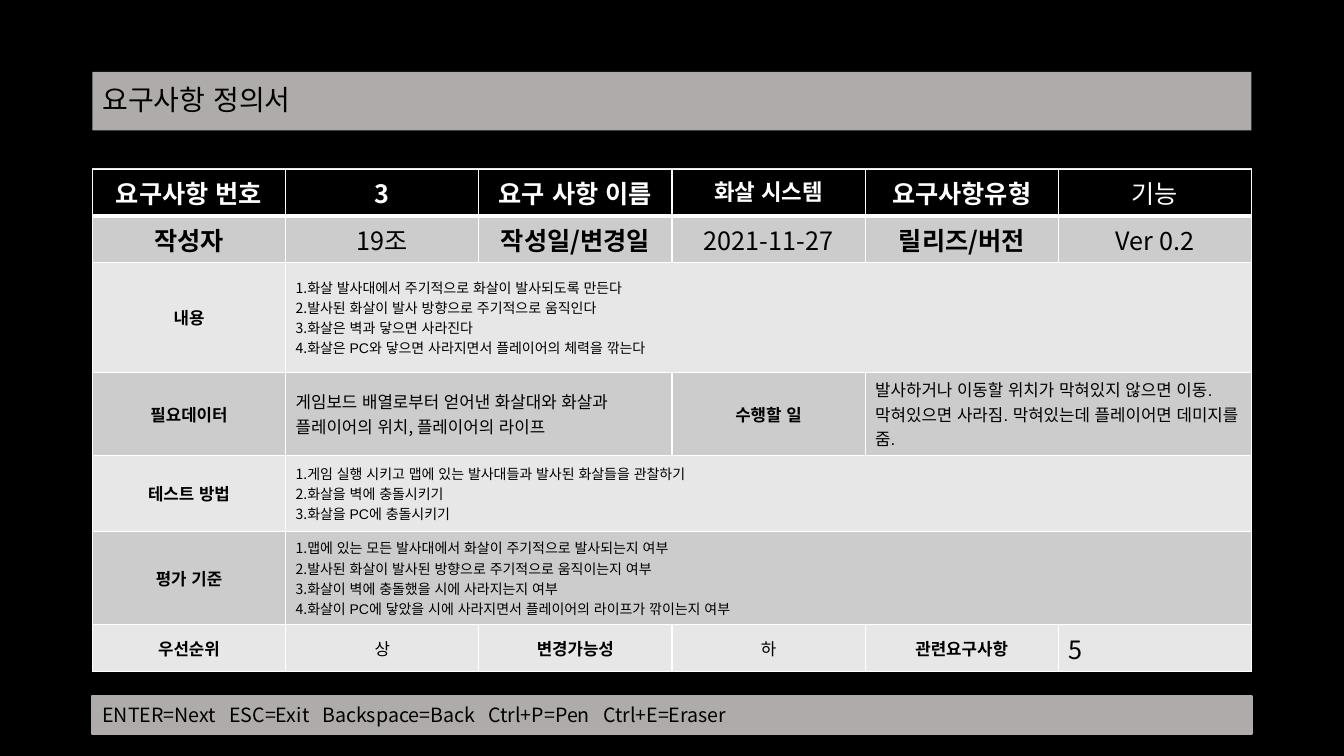
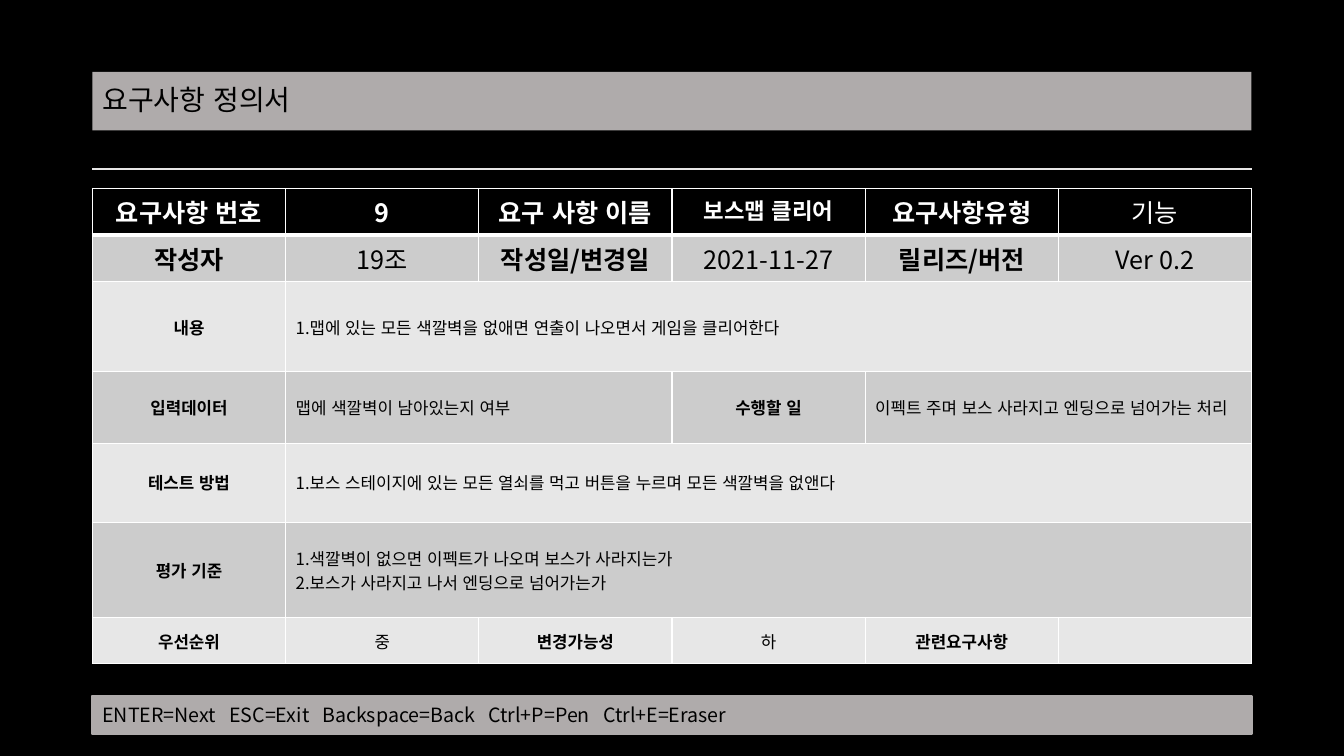
from dataclasses import dataclass

from lxml.etree import SubElement
from pptx import Presentation
from pptx.dml.color import RGBColor
from pptx.enum.lang import MSO_LANGUAGE_ID
from pptx.enum.shapes import MSO_CONNECTOR, MSO_SHAPE
from pptx.enum.text import MSO_ANCHOR, PP_ALIGN
from pptx.oxml import parse_xml
from pptx.oxml.ns import nsdecls, qn
from pptx.util import Cm, Pt

TITLE = "요구사항 정의서"
SHORTCUTS = ["ENTER=Next", "ESC=Exit", "Backspace=Back", "Ctrl+P=Pen", "Ctrl+E=Eraser"]
SHORTCUT_TABS = [3.2, 5.54, 9.73, 12.62]


def heading_rows(number, name):
    return [
        [("head", number_label, 1) for number_label in ("요구사항 번호", number, "요구 사항 이름")]
        + [("head_name", name, 1), ("head", "요구사항유형", 1), ("head_plain", "기능", 1)],
        [("label_large", "작성자", 1), ("value_large", "19조", 1),
         ("label_large", "작성일/변경일", 1), ("value_large", "2021-11-27", 1),
         ("label_large", "릴리즈/버전", 1), ("value_large", "Ver 0.2", 1)],
    ]


def priority_row(priority, related):
    return [("label", "우선순위", 1), ("value", priority, 1),
            ("label", "변경가능성", 1), ("value", "하", 1),
            ("label", "관련요구사항", 1), ("related", related, 1)]


# Each cell is (text style, text or list of steps, columns spanned).
SHEETS = [
    {
        "top": 4.27,
        "heights": [1.15, 1.15, 2.76, 2, 1.92, 2.35, 1.15],
        "rows": heading_rows("3", "화살 시스템") + [
            [("label", "내용", 1), ("steps_small", [
                "화살 발사대에서 주기적으로 화살이 발사되도록 만든다",
                "발사된 화살이 발사 방향으로 주기적으로 움직인다",
                "화살은 벽과 닿으면 사라진다",
                "화살은 PC와 닿으면 사라지면서 플레이어의 체력을 깎는다"], 5)],
            [("label", "필요데이터", 1),
             ("data", "게임보드 배열로부터 얻어낸 화살대와 화살과 플레이어의 위치, "
                      "플레이어의 라이프", 2),
             ("label", "수행할 일", 1),
             ("note", "발사하거나 이동할 위치가 막혀있지 않으면 이동. 막혀있으면 사라짐. "
                      "막혀있는데 플레이어면 데미지를 줌.", 2)],
            [("label", "테스트 방법", 1), ("steps_small", [
                "게임 실행 시키고 맵에 있는 발사대들과 발사된 화살들을 관찰하기",
                "화살을 벽에 충돌시키기",
                "화살을 PC에 충돌시키기"], 5)],
            [("label", "평가 기준", 1), ("steps_small", [
                "맵에 있는 모든 발사대에서 화살이 주기적으로 발사되는지 여부",
                "발사된 화살이 발사된 방향으로 주기적으로 움직이는지 여부",
                "화살이 벽에 충돌했을 시에 사라지는지 여부",
                "화살이 PC에 닿았을 시에 사라지면서 플레이어의 라이프가 깎이는지 여부"], 5)],
            priority_row("상", "5"),
        ],
    },
    {
        "top": 4.75,
        "heights": [1.16, 1.16, 2.27, 1.8, 1.99, 2.41, 1.16],
        "rows": heading_rows("9", "보스맵 클리어") + [
            [("label", "내용", 1), ("steps", [
                "맵에 있는 모든 색깔벽을 없애면 연출이 나오면서 게임을 클리어한다"], 5)],
            [("label", "입력데이터", 1), ("note", "맵에 색깔벽이 남아있는지 여부", 2),
             ("label", "수행할 일", 1),
             ("note", "이펙트 주며 보스 사라지고 엔딩으로 넘어가는 처리", 2)],
            [("label", "테스트 방법", 1), ("steps", [
                "보스 스테이지에 있는 모든 열쇠를 먹고 버튼을 누르며 모든 색깔벽을 없앤다"], 5)],
            [("label", "평가 기준", 1), ("steps", [
                "색깔벽이 없으면 이펙트가 나오며 보스가 사라지는가",
                "보스가 사라지고 나서 엔딩으로 넘어가는가"], 5)],
            priority_row("중", ""),
        ],
    },
]


@dataclass
class TextStyle:
    size: int
    bold: bool = False
    font: str = "Arial"
    color: str = "000000"
    centered: bool = False
    anchor: MSO_ANCHOR = MSO_ANCHOR.MIDDLE


class Theme:
    black, white = "000000", "FFFFFF"
    band, rule = "AFABAB", "E7E6E6"
    row_fills = ("E7E7E7", "CCCCCC")
    korean = "Noto Sans CJK KR"
    thin, thick = 1, 3
    line = 1.5
    styles = {
        "title": TextStyle(20, font=korean),
        "footer": TextStyle(14, font=korean),
        "head": TextStyle(18, True, korean, white, True, MSO_ANCHOR.TOP),
        "head_name": TextStyle(16, True, korean, white, True, MSO_ANCHOR.TOP),
        "head_plain": TextStyle(18, False, korean, white, True, MSO_ANCHOR.TOP),
        "label_large": TextStyle(18, True, korean, black, True, MSO_ANCHOR.TOP),
        "value_large": TextStyle(18, False, korean, black, True, MSO_ANCHOR.TOP),
        "label": TextStyle(12, True, centered=True),
        "value": TextStyle(12, centered=True),
        "steps_small": TextStyle(10),
        "steps": TextStyle(12),
        "data": TextStyle(12, font=korean),
        "note": TextStyle(12),
        "related": TextStyle(18, font=korean),
    }


LEFT, WIDTH, COLUMNS = 2.33, 29.21, 6


def color(value):
    return RGBColor.from_string(value)


def style_paragraph(para, style):
    para.alignment = PP_ALIGN.CENTER if style.centered else PP_ALIGN.LEFT
    for span in para.runs:
        span.font.size = Pt(style.size)
        span.font.bold = style.bold
        span.font.name = style.font
        span.font.color.rgb = color(style.color)
        span.font.language_id = MSO_LANGUAGE_ID.KOREAN
        SubElement(span.font._element, qn("a:ea"), typeface=Theme.korean)


def number_paragraph(para):
    properties = para._p.get_or_add_pPr()
    properties.set("marL", "0")
    properties.set("indent", "0")
    SubElement(properties, qn("a:buAutoNum"), type="arabicPeriod")


def add_band(slide, top, height, text, style, outlined=False):
    box = slide.shapes.add_shape(
        MSO_SHAPE.RECTANGLE, Cm(LEFT), Cm(top), Cm(WIDTH), Cm(height))
    box.shadow.inherit = False
    box.fill.solid()
    box.fill.fore_color.rgb = color(Theme.band)
    if outlined:
        box.line.color.rgb = color(Theme.band)
        box.line.width = Pt(Theme.line)
    else:
        box.line.fill.background()
    box.text_frame.text = text
    box.text_frame.word_wrap = True
    box.text_frame.vertical_anchor = style.anchor
    para = box.text_frame.paragraphs[0]
    style_paragraph(para, style)
    return para


def add_frame(slide):
    """Draw the background, rule, footer and title shared by all slides."""
    slide.background.fill.solid()
    slide.background.fill.fore_color.rgb = color(Theme.black)
    rule = slide.shapes.add_connector(
        MSO_CONNECTOR.STRAIGHT, Cm(LEFT), Cm(4.25), Cm(LEFT + WIDTH), Cm(4.25))
    rule.line.color.rgb = color(Theme.rule)
    rule.line.width = Pt(Theme.line)
    SubElement(rule._element.spPr, qn("a:effectLst"))

    footer = add_band(slide, 17.53, 0.97, "\t".join(SHORTCUTS),
                      Theme.styles["footer"], outlined=True)
    tabs = SubElement(footer._p.get_or_add_pPr(), qn("a:tabLst"))
    for position in SHORTCUT_TABS:
        SubElement(tabs, qn("a:tab"), pos=str(Cm(position)), algn="l")

    title = add_band(slide, 1.81, 1.48, TITLE, Theme.styles["title"])
    title.line_spacing = 0.9


def paint_cell(cell, row_index):
    """Fill the cell and rule its sides, with a thick line under the header."""
    widths = {
        "lnL": Theme.thin,
        "lnR": Theme.thin,
        "lnT": Theme.thick if row_index == 1 else Theme.thin,
        "lnB": Theme.thick if row_index == 0 else Theme.thin,
    }
    cell.fill.solid()
    cell.fill.fore_color.rgb = color(
        Theme.row_fills[row_index % 2] if row_index else Theme.black)
    properties = cell._tc.get_or_add_tcPr()
    for position, (side, width) in enumerate(widths.items()):
        properties.insert(position, parse_xml(
            f'<a:{side} {nsdecls("a")} w="{Pt(width)}"><a:solidFill>'
            f'<a:srgbClr val="{Theme.white}"/></a:solidFill></a:{side}>'))


def write_cell(cell, style, content):
    numbered = isinstance(content, list)
    cell.vertical_anchor = style.anchor
    cell.text_frame.text = "\n".join(content) if numbered else content
    for para in cell.text_frame.paragraphs:
        if numbered:
            number_paragraph(para)
        style_paragraph(para, style)


def add_sheet(slide, sheet):
    rows, heights = sheet["rows"], sheet["heights"]
    table = slide.shapes.add_table(
        len(rows), COLUMNS, Cm(LEFT), Cm(sheet["top"]), Cm(WIDTH), Cm(sum(heights))).table
    table.first_row = table.horz_banding = False
    for column in table.columns:
        column.width = Cm(WIDTH / COLUMNS)
    for row_index, (cells, height) in enumerate(zip(rows, heights)):
        table.rows[row_index].height = Cm(height)
        for column_index in range(COLUMNS):
            paint_cell(table.cell(row_index, column_index), row_index)
        start = 0
        for style_name, content, span in cells:
            cell = table.cell(row_index, start)
            if span > 1:
                cell.merge(table.cell(row_index, start + span - 1))
            write_cell(cell, Theme.styles[style_name], content)
            start += span


def main():
    deck = Presentation()
    deck.slide_width, deck.slide_height = Cm(33.87), Cm(19.05)
    for sheet in SHEETS:
        slide = deck.slides.add_slide(deck.slide_layouts[6])
        add_frame(slide)
        add_sheet(slide, sheet)
    deck.save("out.pptx")


if __name__ == "__main__":
    main()
